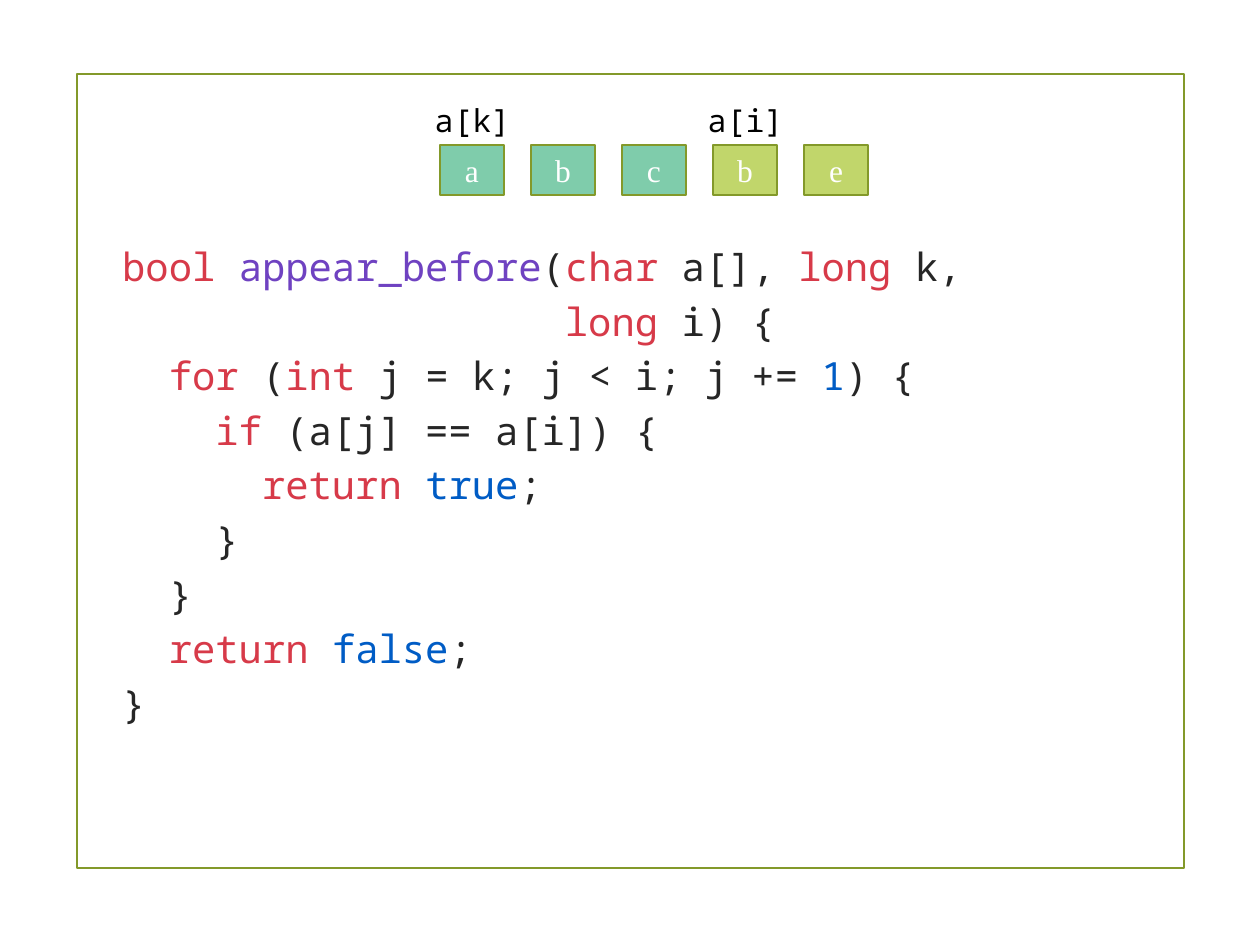
from pptx import Presentation
from pptx import util as u
from pptx.dml.color import RGBColor
from pptx.enum import shapes, text

COLORS = {
    "border": "83992A", "seen": "7FCCAB", "ahead": "C1D66B",
    "white": "FFFFFF", "black": "000000", "plain": "262626",
    "keyword": "D73A49", "function": "6F42C1", "constant": "005CC5",
}
MONO = "Noto Sans Mono"
SERIF = "Times New Roman"

CODE = [
    [("bool ", "keyword"), ("appear_before", "function"), ("(", "plain"),
     ("char", "keyword"), (" a[], ", "plain"), ("long", "keyword"), (" k,", "plain")],
    [("                   long ", "keyword"), ("i) {", "plain")],
    [("  for", "keyword"), (" (", "plain"), ("int", "keyword"),
     (" j = k; j < i; j += ", "plain"), ("1", "constant"), (") {", "plain")],
    [("    if", "keyword"), (" (a[j] == a[i]) {", "plain")],
    [("      return ", "keyword"), ("true", "constant"), (";", "plain")],
    [("    }", "plain")],
    [("  }", "plain")],
    [("  return ", "keyword"), ("false", "constant"), (";", "plain")],
    [("}", "plain")],
]
CELLS = [("a", "seen"), ("b", "seen"), ("c", "seen"), ("b", "ahead"), ("e", "ahead")]
POINTERS = {"a[k]": 0, "a[i]": 3}
CELL_LEFT, CELL_STEP = 3.49, 0.7225


class SlideBuilder:
    """Holds the slide and the style its elements share."""

    def __init__(self, slide):
        self.slide = slide

    def color(self, name):
        return RGBColor.from_string(COLORS[name])

    def style(self, font, face, size, color=None):
        font.name, font.size = face, u.Pt(size)
        if color:
            font.color.rgb = self.color(color)

    def margins(self, frame, side, top):
        frame.margin_left = frame.margin_right = u.Inches(side)
        frame.margin_top = frame.margin_bottom = u.Inches(top)

    def box(self, left, top, width, height, line_width, fill=None, label=""):
        box = self.slide.shapes.add_shape(
            shapes.MSO_SHAPE.RECTANGLE, u.Inches(left), u.Inches(top),
            u.Inches(width), u.Inches(height))
        box.shadow.inherit = False
        box.line.color.rgb = self.color("border")
        box.line.width = u.Pt(line_width)
        if not fill:
            box.fill.background()
            return
        box.fill.solid()
        box.fill.fore_color.rgb = self.color(fill)
        frame = box.text_frame
        self.margins(frame, 0.05, 0.05)
        frame.vertical_anchor = text.MSO_ANCHOR.MIDDLE
        paragraph = frame.paragraphs[0]
        paragraph.text = label
        paragraph.alignment = text.PP_ALIGN.CENTER
        self.style(paragraph.font, SERIF, 18, "white")

    def text_frame(self, left, top, width, height, wrap):
        frame = self.slide.shapes.add_textbox(
            u.Inches(left), u.Inches(top), u.Inches(width), u.Inches(height)).text_frame
        frame.word_wrap = wrap
        return frame

    def pointer(self, label, left, top):
        frame = self.text_frame(left, top, 0.7, 0.4, False)
        self.margins(frame, 0.05, 0.05)
        paragraph = frame.paragraphs[0]
        paragraph.text = label
        self.style(paragraph.font, MONO, 18, "black")

    def code(self, lines, left, top, width, height):
        frame = self.text_frame(left, top, width, height, True)
        self.margins(frame, 0.08, 0.05)
        for index, line in enumerate(lines):
            paragraph = frame.add_paragraph() if index else frame.paragraphs[0]
            paragraph.line_spacing = 0.9
            paragraph.space_before = u.Pt(0)
            paragraph.space_after = u.Pt(7.2)
            self.style(paragraph.font, MONO, 22.2)
            for token, color in line:
                run = paragraph.add_run()
                run.text = token
                self.style(run.font, MONO, 22.2, color)


def main():
    deck = Presentation()
    deck.slide_width, deck.slide_height = u.Inches(10), u.Inches(7.5)
    builder = SlideBuilder(deck.slides.add_slide(deck.slide_layouts[6]))

    builder.box(0.61, 0.59, 8.79, 6.3, 1.25)
    builder.code(CODE, 0.89, 1.92, 8.72, 4.9)
    for index, (letter, fill) in enumerate(CELLS):
        builder.box(CELL_LEFT + index * CELL_STEP, 1.15, 0.51, 0.4, 1, fill, letter)
    for label, index in POINTERS.items():
        builder.pointer(label, CELL_LEFT - 0.09 + index * CELL_STEP, 0.75)

    deck.save("out.pptx")


if __name__ == "__main__":
    main()
